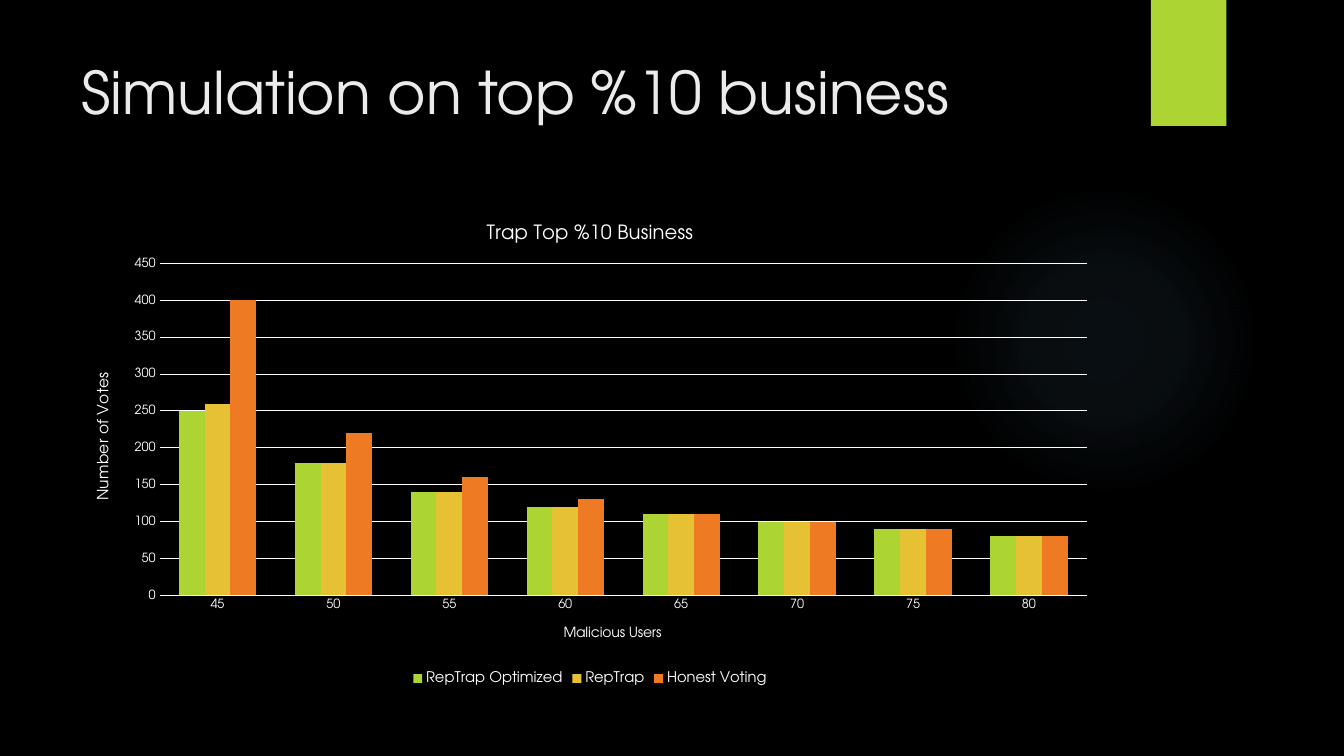
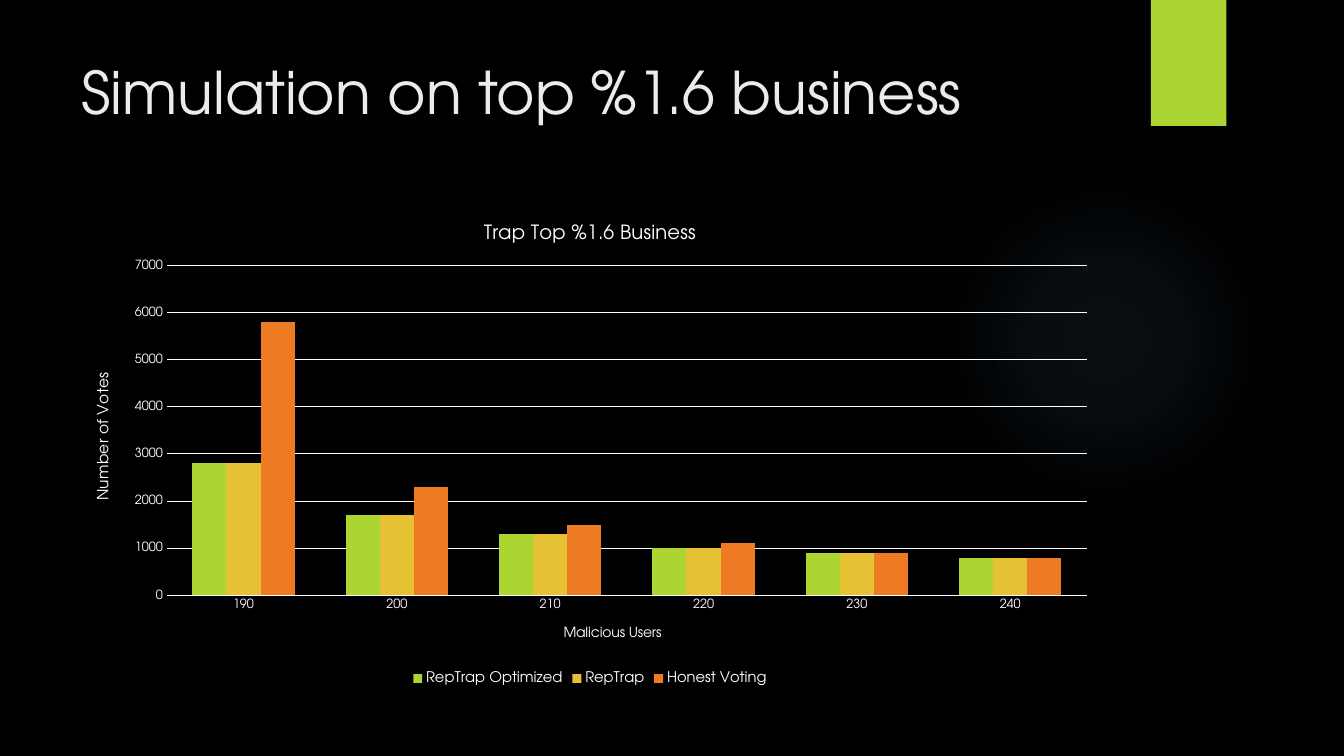
from dataclasses import dataclass
from typing import Any

from pptx import Presentation
from pptx.chart.axis import CategoryAxis, ValueAxis
from pptx.chart.chart import Chart
from pptx.chart.data import CategoryChartData
from pptx.dml.color import RGBColor as Rgb
from pptx.enum.chart import XL_CHART_TYPE as ChartType
from pptx.enum.chart import XL_LEGEND_POSITION as LegendPos
from pptx.enum.chart import XL_TICK_MARK as Tick
from pptx.enum.shapes import MSO_SHAPE as Preset
from pptx.enum.text import MSO_ANCHOR as Anchor
from pptx.enum.text import MSO_AUTO_SIZE as AutoSize
from pptx.enum.text import PP_ALIGN as Align
from pptx.oxml import parse_xml
from pptx.oxml.ns import nsdecls, qn
from pptx.slide import Slide
from pptx.util import Inches, Pt


@dataclass(frozen=True)
class Theme:
    font: str = "TeX Gyre Adventor"
    background: str = "000000"
    heading: str = "EBEBEB"
    text: str = "FFFFFF"
    accent: str = "ACD433"
    glow: str = "7AC4F0"
    bars: tuple[str, ...] = ("ACD433", "E6C133", "EF7A24")
    heading_size: float = 42
    chart_title_size: float = 14
    value_title_size: float = 11
    legend_size: float = 10.5
    base_size: float = 10
    tick_size: float = 9
    line_width: float = 0.75


@dataclass(frozen=True)
class Area:
    """A block of the slide grid, in columns and rows."""
    col: float
    row: float
    cols: float
    rows: float

    def box(self) -> tuple[int, ...]:
        return tuple(round(n * CELL) for n in (self.col, self.row, self.cols, self.rows))


@dataclass(frozen=True)
class Simulation:
    """One slide; plot_left and plot_top are percentages of the chart."""
    share: str
    users: tuple[int, ...]
    votes: tuple[tuple[int, ...], ...]
    top_vote: int
    vote_step: int
    plot_left: float
    plot_top: float


THEME = Theme()
COLUMNS, ROWS = 160, 90
CELL = Inches(7.5) / ROWS

HEADING = Area(8.5, 6, 123.5, 18.33)
CHART = Area(8.5, 24.33, 123.5, 57.75)
GLOW = Area(113, 22, 37, 37)
TAB = Area(137, 0, 9, 15)

# Percentages of the chart
PLOT_RIGHT, PLOT_BOTTOM = 97.9, 80.6
USERS_TITLE_AT = (47.2, 86.2)
VOTES_TITLE_AT = (2, 34)

GLOW_STOPS = ((0, 7), (36, 6), (69, 0))  # position, opacity
METHODS = ("RepTrap Optimized", "RepTrap", "Honest Voting")

SIMULATIONS = (
    Simulation(
        "%10", tuple(range(45, 85, 5)),
        ((250, 180, 140, 120, 110, 100, 90, 80),
         (260, 180, 140, 120, 110, 100, 90, 80),
         (400, 220, 160, 130, 110, 100, 90, 80)),
        450, 50, 8.5, 12.2),
    Simulation(
        "%1.6", tuple(range(190, 250, 10)),
        ((2800, 1700, 1300, 1000, 900, 800),
         (2800, 1700, 1300, 1000, 900, 800),
         (5800, 2300, 1500, 1100, 900, 800)),
        7000, 1000, 9.2, 12.6),
)


def apply(target: Any, formats: dict[str, Any]) -> None:
    for attribute, value in formats.items():
        setattr(target, attribute, value)


def style_font(font: Any, size: float, color: str = THEME.text) -> None:
    apply(font, {"name": THEME.font, "size": Pt(size), "bold": False})
    font.color.rgb = Rgb.from_string(color)


def style_line(line: Any) -> None:
    line.color.rgb = Rgb.from_string(THEME.text)
    line.width = Pt(THEME.line_width)


# Shared decoration, kept on the slide master
def decorate_master(slide: Slide) -> None:
    master = slide.slide_layout.slide_master
    master.background.fill.solid()
    master.background.fill.fore_color.rgb = Rgb.from_string(THEME.background)

    glow = slide.shapes.add_shape(Preset.OVAL, *GLOW.box())
    tab = slide.shapes.add_shape(Preset.RECTANGLE, *TAB.box())
    for position, decoration in enumerate((glow, tab), start=2):
        decoration.line.fill.background()
        decoration.shadow.inherit = False
        master.shapes.element.insert(position, decoration.element)

    stops = "".join(
        f'<a:gs pos="{at * 1000}"><a:srgbClr val="{THEME.glow}">'
        f'<a:alpha val="{opacity * 1000}"/></a:srgbClr></a:gs>'
        for at, opacity in GLOW_STOPS)
    gradient = parse_xml(
        f'<a:gradFill {nsdecls("a")} rotWithShape="1"><a:gsLst>{stops}</a:gsLst>'
        '<a:path path="circle"><a:fillToRect l="50000" t="50000" r="50000" b="50000"/>'
        '</a:path></a:gradFill>')
    glow.fill.background()
    no_fill = glow.element.spPr.find(qn("a:noFill"))
    glow.element.spPr.replace(no_fill, gradient)

    tab.fill.solid()
    tab.fill.fore_color.rgb = Rgb.from_string(THEME.accent)
    tab.element.spPr.find(qn("a:effectLst")).append(parse_xml(
        f'<a:outerShdw {nsdecls("a")} blurRad="{Pt(3)}" dist="{Pt(2)}" dir="5400000">'
        '<a:srgbClr val="000000"><a:alpha val="45000"/></a:srgbClr></a:outerShdw>'))


def write_heading(slide: Slide, text: str) -> None:
    heading = slide.shapes.title
    apply(heading, dict(zip(("left", "top", "width", "height"), HEADING.box())))
    frame = heading.text_frame
    frame.text = text
    apply(frame, {"vertical_anchor": Anchor.TOP, "word_wrap": True,
                  "auto_size": AutoSize.NONE})
    frame.paragraphs[0].alignment = Align.LEFT
    style_font(frame.paragraphs[0].runs[0].font, THEME.heading_size, THEME.heading)


# Chart parts
def place(part: Any, index: int, inner: bool = False, **percent: float) -> None:
    """Give a chart part a manual layout as percentages of the chart."""
    for automatic in part.findall(qn("c:layout")):
        part.remove(automatic)
    target = '<c:layoutTarget val="inner"/>' if inner else ""
    modes = "".join(f'<c:{key}Mode val="edge"/>' for key in ("x", "y"))
    values = "".join(f'<c:{key} val="{value / 100:.4f}"/>' for key, value in percent.items())
    part.insert(index, parse_xml(
        f'<c:layout {nsdecls("c")}><c:manualLayout>{target}{modes}{values}'
        '</c:manualLayout></c:layout>'))


def write_title(title: Any, text: str, size: float) -> None:
    title.text_frame.text = text
    style_font(title.text_frame.paragraphs[0].runs[0].font, size)


def style_axis(axis: CategoryAxis | ValueAxis, text: str, size: float,
               at: tuple[float, float]) -> None:
    apply(axis, {"major_tick_mark": Tick.NONE, "minor_tick_mark": Tick.NONE})
    style_font(axis.tick_labels.font, THEME.tick_size)
    write_title(axis.axis_title, text, size)
    place(axis.axis_title.element, 1, x=at[0], y=at[1])


def style_axes(chart: Chart, simulation: Simulation) -> None:
    users, votes = chart.category_axis, chart.value_axis
    style_axis(users, "Malicious Users", THEME.base_size, USERS_TITLE_AT)
    style_axis(votes, "Number of Votes", THEME.value_title_size, VOTES_TITLE_AT)
    style_line(users.format.line)
    votes.format.line.fill.background()
    apply(votes, {"minimum_scale": 0, "maximum_scale": simulation.top_vote,
                  "major_unit": simulation.vote_step, "has_major_gridlines": True})
    style_line(votes.major_gridlines.format.line)
    direction = votes.axis_title.element.xpath(".//a:bodyPr")[0]
    direction.set("rot", "-5400000")
    direction.set("vert", "horz")


def add_votes_chart(slide: Slide, simulation: Simulation) -> None:
    data = CategoryChartData()
    data.categories = [str(count) for count in simulation.users]
    for method, votes in zip(METHODS, simulation.votes):
        data.add_series(method, votes)
    chart = slide.shapes.add_chart(ChartType.COLUMN_CLUSTERED, *CHART.box(), data).chart
    style_font(chart.font, THEME.base_size)
    apply(chart, {"has_title": True, "has_legend": True})
    write_title(chart.chart_title, f"Trap Top {simulation.share} Business",
                THEME.chart_title_size)
    apply(chart.legend, {"position": LegendPos.BOTTOM, "include_in_layout": False})
    style_font(chart.legend.font, THEME.legend_size)

    bars = chart.plots[0]
    apply(bars, {"gap_width": 150, "overlap": 0, "vary_by_categories": False})
    for method, color in zip(bars.series, THEME.bars):
        method.format.fill.solid()
        method.format.fill.fore_color.rgb = Rgb.from_string(color)

    style_axes(chart, simulation)
    left, top = simulation.plot_left, simulation.plot_top
    place(chart.element.xpath("c:chart/c:plotArea")[0], 0, inner=True,
          x=left, y=top, w=PLOT_RIGHT - left, h=PLOT_BOTTOM - top)


def main() -> None:
    deck = Presentation()
    apply(deck, {"slide_width": round(COLUMNS * CELL), "slide_height": round(ROWS * CELL)})
    title_only = deck.slide_layouts.get_by_name("Title Only")
    for number, simulation in enumerate(SIMULATIONS):
        slide = deck.slides.add_slide(title_only)
        if number == 0:
            decorate_master(slide)
        write_heading(slide, f"Simulation on top {simulation.share} business")
        add_votes_chart(slide, simulation)
    deck.save("out.pptx")


if __name__ == "__main__":
    main()
